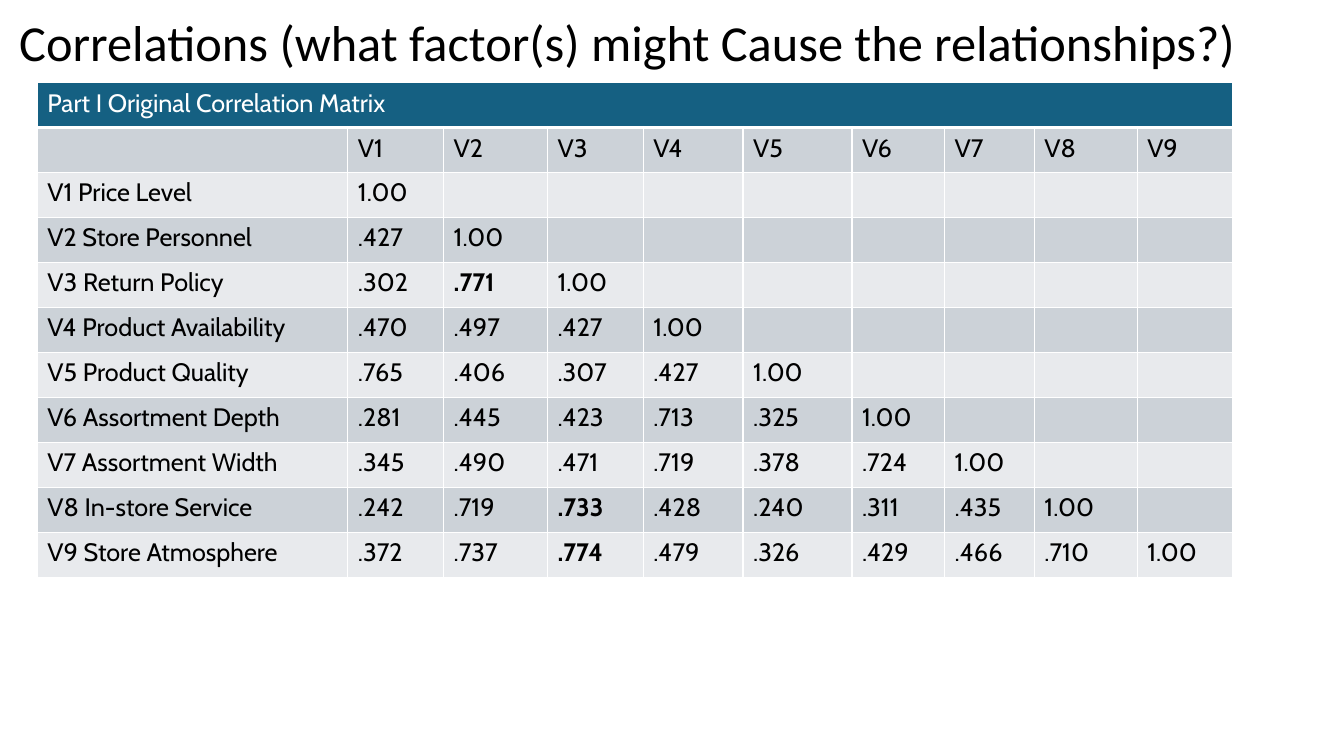
from lxml.etree import SubElement
from pptx import Presentation
from pptx.dml.color import RGBColor
from pptx.enum.text import MSO_ANCHOR, MSO_AUTO_SIZE, PP_ALIGN
from pptx.oxml.ns import qn
from pptx.util import Inches, Pt

BLACK, WHITE, TEAL = "000000", "FFFFFF", "156082"
BANDS = ["CCD2D8", "E8EAED"]
COLUMN_WIDTHS = [3.08, 0.95, 1.03, 0.95, 0.99, 1.08, 0.92, 0.89, 1.02, 0.95]
TABLE_HEIGHT = 4.91

# Each factor with its correlations to the factors before it
FACTORS = [
    ("Price Level", []),
    ("Store Personnel", [".427"]),
    ("Return Policy", [".302", ".771"]),
    ("Product Availability", [".470", ".497", ".427"]),
    ("Product Quality", [".765", ".406", ".307", ".427"]),
    ("Assortment Depth", [".281", ".445", ".423", ".713", ".325"]),
    ("Assortment Width", [".345", ".490", ".471", ".719", ".378", ".724"]),
    ("In-store Service",
     [".242", ".719", ".733", ".428", ".240", ".311", ".435"]),
    ("Store Atmosphere",
     [".372", ".737", ".774", ".479", ".326", ".429", ".466", ".710"]),
]
HIGHLIGHTS = {".771", ".733", ".774"}


def color(hex_code):
    return RGBColor.from_string(hex_code)


def write(frame, text, *, size=18, font="Cabin", ink=BLACK, bold=False,
          line_spacing=1.0):
    paragraph = frame.paragraphs[0]
    paragraph.alignment = PP_ALIGN.LEFT
    paragraph.line_spacing = line_spacing
    run = paragraph.add_run()
    run.text = text
    run.font.size = Pt(size)
    run.font.name = font
    run.font.bold = bold
    run.font.color.rgb = color(ink)


def format_cell(cell, fill, bottom_width=1):
    # Borders come before the fill in the cell properties
    properties = cell._tc.get_or_add_tcPr()
    for side in "LRTB":
        width = bottom_width if side == "B" else 1
        border = SubElement(properties, qn(f"a:ln{side}"), w=str(Pt(width)))
        paint = SubElement(border, qn("a:solidFill"))
        SubElement(paint, qn("a:srgbClr"), val=WHITE)
    cell.fill.solid()
    cell.fill.fore_color.rgb = color(fill)


def add_title(slide, text):
    title = slide.shapes.title
    title.left, title.top = Inches(0.09), Inches(0.07)
    title.width, title.height = Inches(12.45), Inches(0.76)
    frame = title.text_frame
    frame.word_wrap = True
    frame.auto_size = MSO_AUTO_SIZE.NONE
    frame.vertical_anchor = MSO_ANCHOR.MIDDLE
    write(frame, text, size=36, font="Calibri", line_spacing=0.9)


def add_correlation_matrix(slide, heading):
    labels = [f"V{number}" for number in range(1, len(FACTORS) + 1)]
    rows = [["", *labels]]
    for label, (factor, correlations) in zip(labels, FACTORS):
        rows.append([f"{label} {factor}", *correlations, "1.00"])

    row_count = len(rows) + 1
    matrix = slide.shapes.add_table(
        row_count, len(COLUMN_WIDTHS), Inches(0.37), Inches(0.82),
        Inches(sum(COLUMN_WIDTHS)), Inches(TABLE_HEIGHT)).table
    for column, width in zip(matrix.columns, COLUMN_WIDTHS):
        column.width = Inches(width)
    for row in matrix.rows:
        row.height = Inches(TABLE_HEIGHT / row_count)

    # Heading across all columns
    last_column = len(COLUMN_WIDTHS) - 1
    matrix.cell(0, 0).merge(matrix.cell(0, last_column))
    for column_index in range(len(COLUMN_WIDTHS)):
        format_cell(matrix.cell(0, column_index), TEAL, bottom_width=3)
    write(matrix.cell(0, 0).text_frame, heading, ink=WHITE)

    # Banded rows, filled up to the diagonal
    for row_index, values in enumerate(rows, start=1):
        for column_index in range(len(COLUMN_WIDTHS)):
            cell = matrix.cell(row_index, column_index)
            format_cell(cell, BANDS[(row_index - 1) % 2])
            if column_index < len(values) and values[column_index]:
                value = values[column_index]
                write(cell.text_frame, value, bold=value in HIGHLIGHTS)


def main():
    deck = Presentation()
    deck.slide_width, deck.slide_height = Inches(13.33), Inches(7.5)
    slide = deck.slides.add_slide(deck.slide_layouts[5])
    add_title(slide, "Correlations (what factor(s) might Cause the relationships?)")
    add_correlation_matrix(slide, "Part I Original Correlation Matrix")
    deck.save("out.pptx")


if __name__ == "__main__":
    main()
